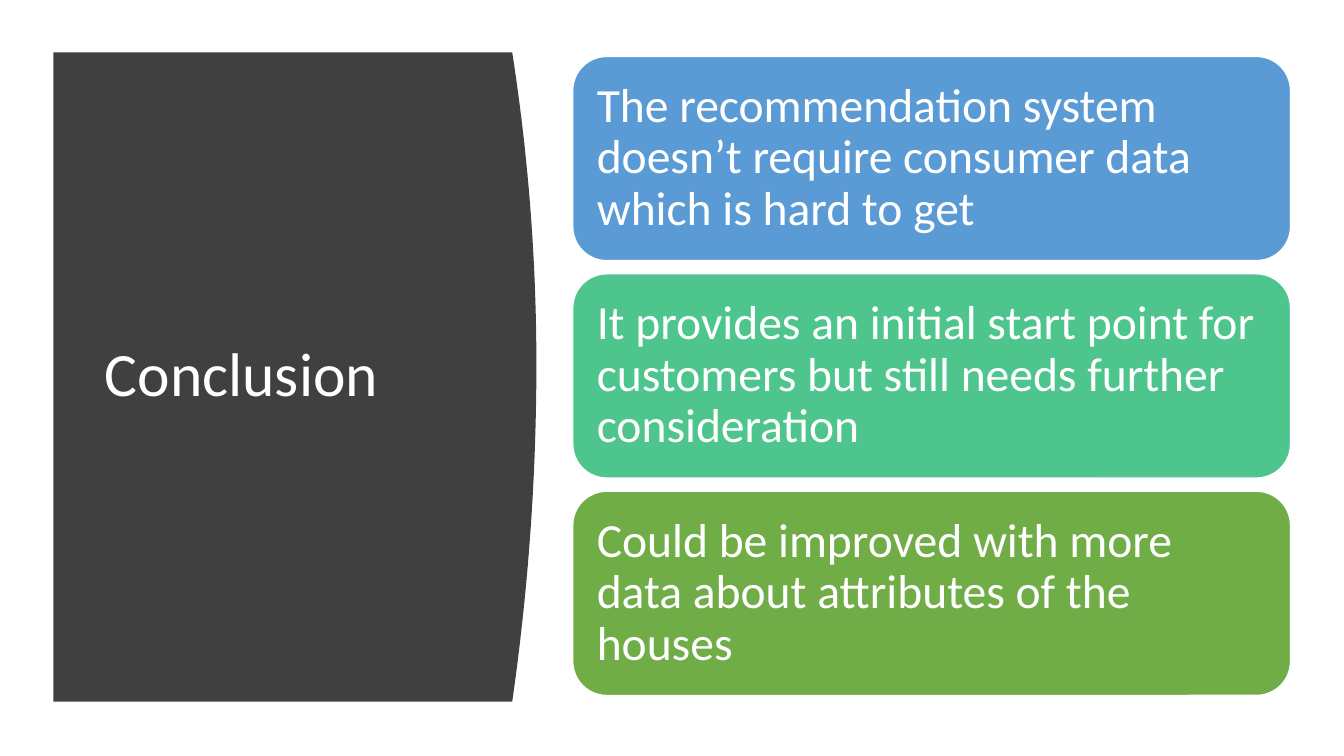
import dataclasses
import pptx
import pptx.dml.color
import pptx.enum.shapes
import pptx.enum.text
import pptx.util


@dataclasses.dataclass(frozen=True)
class Theme:
    """Hold the colours, font and type sizes of the deck."""
    font: str = "Calibri"
    title_size: int = 44
    point_size: int = 34
    white: str = "FFFFFF"
    panel: str = "404040"
    cards: tuple = ("5B9BD5", "4DC58D", "70AD47")


THEME = Theme()
SLIDE_WIDTH, SLIDE_HEIGHT = 13.33, 7.5
TITLE_PANEL = (0.53, 0.52, 4.79, 6.44)
POINTS_COLUMN = (5.68, 0.56, 7.12, 6.34)
CARD_GAP = 0.13
CARD_INSET = 0.14
POINTS = (
    "The recommendation system doesn’t require consumer data which is hard to get",
    "It provides an initial start point for customers but still needs further consideration",
    "Could be improved with more data about attributes of the houses",
)


def paint(fill, colour):
    """Give a fill one solid colour."""
    fill.solid()
    fill.fore_color.rgb = pptx.dml.color.RGBColor.from_string(colour)


def write(frame, text, size, inset):
    """Set white, left-aligned, vertically centred text in a frame."""
    frame.text = text
    frame.word_wrap = True
    frame.vertical_anchor = pptx.enum.text.MSO_ANCHOR.MIDDLE
    frame.margin_left = frame.margin_right = pptx.util.Inches(inset)
    paragraph = frame.paragraphs[0]
    paragraph.alignment = pptx.enum.text.PP_ALIGN.LEFT
    paragraph.line_spacing = 0.9
    font = paragraph.runs[0].font
    font.name = THEME.font
    font.size = pptx.util.Pt(size)
    font.color.rgb = pptx.dml.color.RGBColor.from_string(THEME.white)


def add_title_panel(slide, box, title):
    """Draw the dark panel with its bulging right edge and the title."""
    left, top, width, height = map(pptx.util.Inches, box)
    bulge, crest, steps = 0.05 * width, 0.48, 48
    edge = []
    for step in range(steps + 1):
        share = step / steps
        reach = crest if share < crest else 1 - crest
        offset = bulge * ((share - crest) / reach) ** 2
        edge.append((left + width - offset, top + share * height))
    builder = slide.shapes.build_freeform(left, top)
    builder.add_line_segments(edge + [(left, top + height)], close=True)
    panel = builder.convert_to_shape()
    panel.shadow.inherit = False
    paint(panel.fill, THEME.panel)
    panel.line.fill.background()

    title_box = (left + 0.086 * width, top + 0.092 * height, 0.78 * width, 0.813 * height)
    heading = slide.shapes.add_textbox(*map(round, title_box))
    write(heading.text_frame, title, THEME.title_size, 0.1)


def add_points(slide, box, points):
    """Stack one rounded card per point in equal rows."""
    left, top, width, height = box
    card_height = (height - CARD_GAP * (len(points) - 1)) / len(points)
    for row, (point, colour) in enumerate(zip(points, THEME.cards)):
        card_top = top + row * (card_height + CARD_GAP)
        card = slide.shapes.add_shape(
            pptx.enum.shapes.MSO_SHAPE.ROUNDED_RECTANGLE,
            *map(pptx.util.Inches, (left, card_top, width, card_height)))
        card.shadow.inherit = False
        paint(card.fill, colour)
        paint(card.line.fill, THEME.white)
        card.line.width = pptx.util.Pt(1)
        write(card.text_frame, point, THEME.point_size, CARD_INSET)


def main():
    """Build the conclusion slide and save it."""
    deck = pptx.Presentation()
    deck.slide_width = pptx.util.Inches(SLIDE_WIDTH)
    deck.slide_height = pptx.util.Inches(SLIDE_HEIGHT)
    slide = deck.slides.add_slide(deck.slide_layouts[6])
    paint(slide.background.fill, THEME.white)
    add_title_panel(slide, TITLE_PANEL, "Conclusion")
    add_points(slide, POINTS_COLUMN, POINTS)
    deck.save("out.pptx")


if __name__ == "__main__":
    main()
